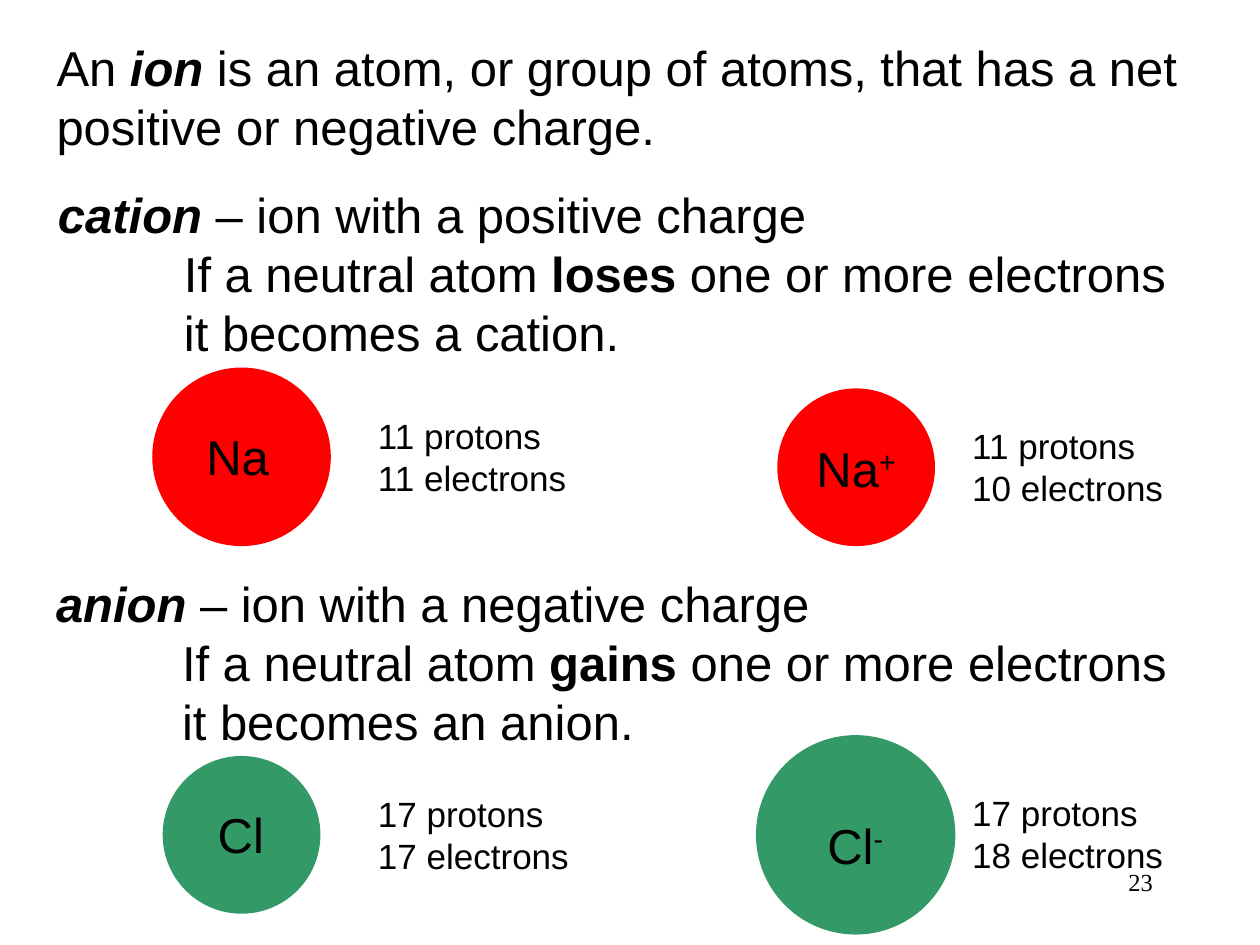
from dataclasses import dataclass

import pptx
import pptx.dml.color
import pptx.enum.shapes
import pptx.enum.text
import pptx.util

Cm = pptx.util.Cm
Pt = pptx.util.Pt
RGB = pptx.dml.color.RGBColor


@dataclass(frozen=True)
class Theme:
    ink: RGB = RGB(0, 0, 0)
    sodium: RGB = RGB(0xFF, 0, 0)
    chlorine: RGB = RGB(0x33, 0x99, 0x66)
    body_font: str = "Arial"
    number_font: str = "Times New Roman"
    body: int = 28
    count: int = 20
    number: int = 14


@dataclass(frozen=True)
class Span:
    text: str
    bold: bool = False
    italic: bool = False
    raised: bool = False


@dataclass(frozen=True)
class Area:
    left: float
    top: float
    width: float
    height: float


@dataclass(frozen=True)
class IonType:
    name: str
    charge: str
    change: str
    result: str
    left: float
    top: float


@dataclass(frozen=True)
class Particle:
    symbol: str
    charge: str
    protons: int
    electrons: int
    color: RGB
    circle: Area
    label: Area
    counts: Area


THEME = Theme()
INDENT = Cm(2.54)
LABEL_HEIGHT = 1.45
COUNTS_SIZE = (4.6, 1.96)
NEUTRAL_LEFT, ION_LEFT = 7.37, 19.35

ION_TYPES = [
    IonType("cation", "positive", "loses", "a cation", 0.92, 3.6),
    IonType("anion", "negative", "gains", "an anion", 0.88, 11.44),
]

PARTICLES = [
    Particle("Na", "", 11, 11, THEME.sodium, Area(3.07, 7.41, 3.6, 3.6),
             Area(3.91, 8.48, 2.05, LABEL_HEIGHT), Area(NEUTRAL_LEFT, 8.23, *COUNTS_SIZE)),
    Particle("Na", "+", 11, 10, THEME.sodium, Area(15.67, 7.83, 3.18, 3.18),
             Area(16.21, 8.71, 2.4, LABEL_HEIGHT), Area(ION_LEFT, 8.43, *COUNTS_SIZE)),
    Particle("Cl", "", 17, 17, THEME.chlorine, Area(3.28, 15.24, 3.18, 3.18),
             Area(4.14, 16.1, 1.75, LABEL_HEIGHT), Area(NEUTRAL_LEFT, 15.85, *COUNTS_SIZE)),
    Particle("Cl", "-", 17, 18, THEME.chlorine, Area(15.24, 14.82, 4.02, 4.02),
             Area(16.43, 16.31, 1.95, LABEL_HEIGHT), Area(ION_LEFT, 15.83, *COUNTS_SIZE)),
]


def place(area: Area) -> tuple:
    return Cm(area.left), Cm(area.top), Cm(area.width), Cm(area.height)


def add_text(shapes, area: Area, lines: list[list[Span]], size: int,
             font: str = THEME.body_font):
    box = shapes.add_textbox(*place(area))
    frame = box.text_frame
    frame.word_wrap = True
    for index, line in enumerate(lines):
        para = frame.paragraphs[0] if index == 0 else frame.add_paragraph()
        for span in line:
            run = para.add_run()
            run.text = span.text
            run.font.name = font
            run.font.size = Pt(size)
            run.font.color.rgb = THEME.ink
            run.font.bold = span.bold
            run.font.italic = span.italic
            if span.raised:
                run._r.get_or_add_rPr().set("baseline", "30000")
    return box


def add_ion_type(page, ion: IonType) -> None:
    lines = [
        [Span(ion.name, bold=True, italic=True), Span(f" – ion with a {ion.charge} charge")],
        [Span("If a neutral atom "), Span(ion.change, bold=True),
         Span(" one or more electrons")],
        [Span(f"it becomes {ion.result}.")],
    ]
    box = add_text(page.shapes, Area(ion.left, ion.top, 23.6, 3.81), lines, THEME.body)
    for para in box.text_frame.paragraphs[1:]:
        properties = para._p.get_or_add_pPr()
        properties.set("marL", str(INDENT))
        properties.set("indent", "0")


def add_particle(page, particle: Particle) -> None:
    group = page.shapes.add_group_shape()
    circle = group.shapes.add_shape(
        pptx.enum.shapes.MSO_SHAPE.OVAL, *place(particle.circle))
    circle.shadow.inherit = False
    circle.fill.solid()
    circle.fill.fore_color.rgb = particle.color
    circle.line.fill.background()
    label = [Span(particle.symbol)]
    if particle.charge:
        label.append(Span(particle.charge, raised=True))
    add_text(group.shapes, particle.label, [label], THEME.body)
    counts = [[Span(f"{particle.protons} protons")],
              [Span(f"{particle.electrons} electrons")]]
    add_text(group.shapes, particle.counts, counts, THEME.count)


def main() -> None:
    deck = pptx.Presentation()
    deck.slide_width, deck.slide_height = Cm(25.4), Cm(19.05)
    page = deck.slides.add_slide(deck.slide_layouts.get_by_name("Blank"))

    number = add_text(page.shapes, Area(18.21, 17.35, 5.28, 1.27), [[Span("23")]],
                      THEME.number, THEME.number_font)
    number.text_frame.paragraphs[0].alignment = pptx.enum.text.PP_ALIGN.RIGHT

    definition = [Span("An "), Span("ion", bold=True, italic=True),
                  Span(" is an atom, or group of atoms, that has a net "
                       "positive or negative charge.")]
    add_text(page.shapes, Area(0.89, 0.64, 23.62, 2.64), [definition], THEME.body)

    for ion in ION_TYPES:
        add_ion_type(page, ion)
    for particle in PARTICLES:
        add_particle(page, particle)

    deck.save("out.pptx")


if __name__ == "__main__":
    main()
